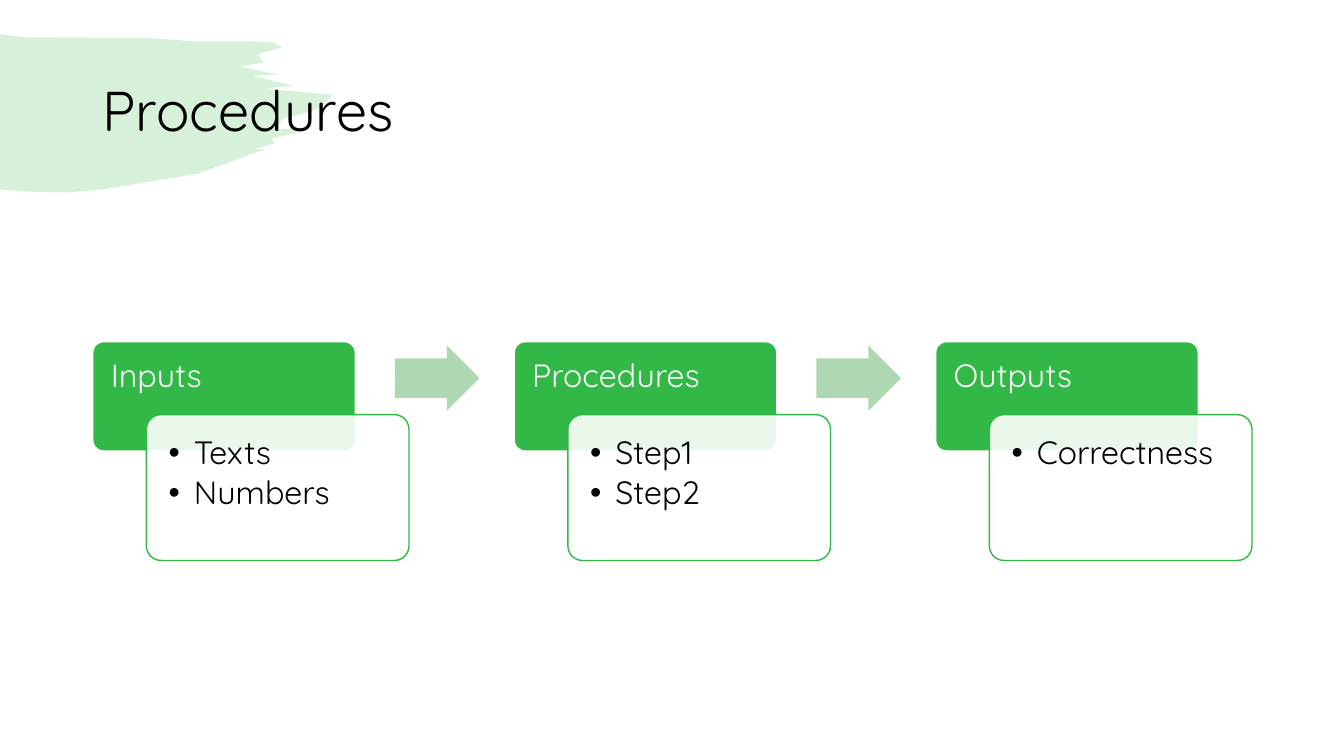
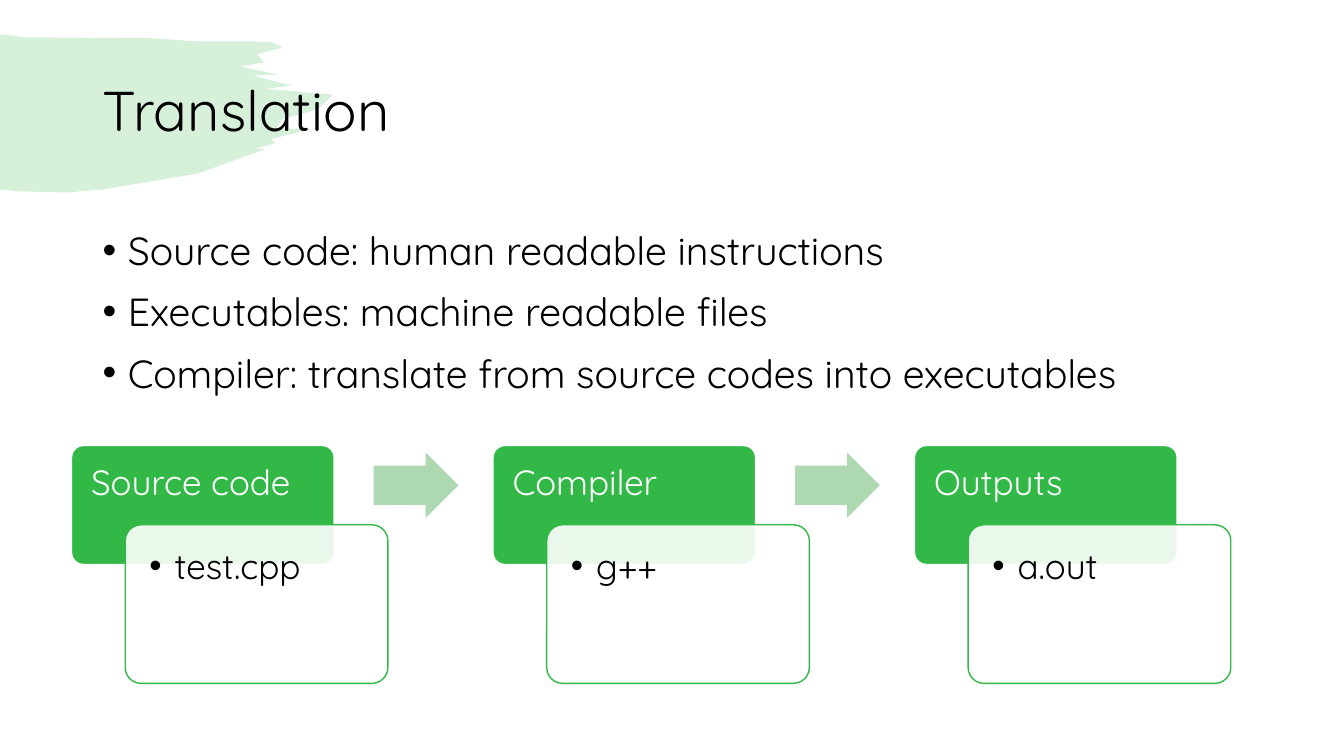
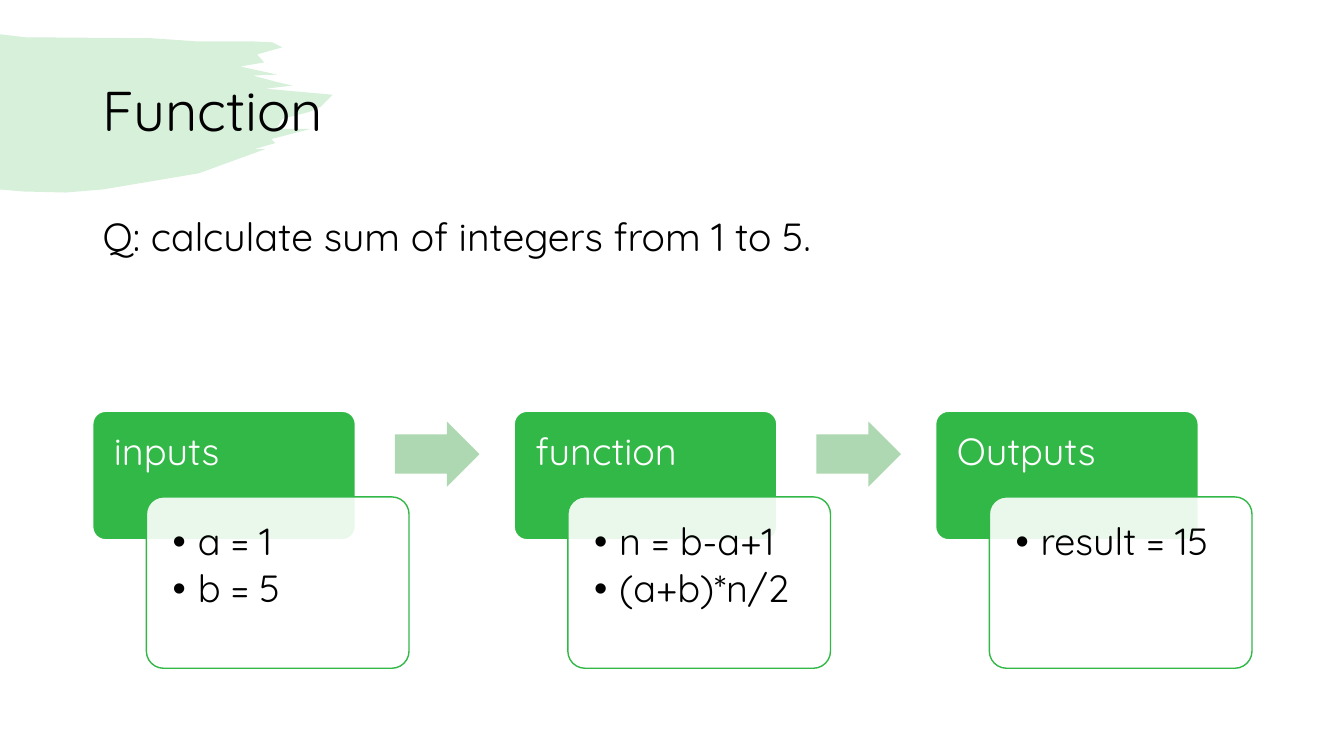
from lxml.etree import SubElement
from pptx import Presentation
from pptx.dml.color import RGBColor
from pptx.enum.shapes import MSO_SHAPE
from pptx.enum.text import MSO_ANCHOR, PP_ALIGN
from pptx.oxml.ns import qn
from pptx.util import Inches, Pt

FONT = "Quicksand"
GREEN, PALE_GREEN, WHITE, BLACK = "32B847", "AED8B1", "FFFFFF", "000000"
MARGIN, CONTENT_WIDTH = 0.92, 11.5
CORNER = 0.1
CORNER_TEXT_INSET = 0.29 * CORNER

BRUSH_OUTLINE = [
    (0, 0.34), (0.25, 0.37), (1.51, 0.38), (1.94, 0.41), (2.48, 0.41), (2.7, 0.42),
    (2.8, 0.47), (2.55, 0.54), (2.62, 0.62), (2.38, 0.66), (2.75, 0.74), (2.51, 0.75),
    (2.73, 0.81), (2.9, 0.85), (2.63, 0.88), (3.3, 0.94), (3.18, 1.06), (3.07, 1.11),
    (2.8, 1.18), (2.74, 1.28), (3.08, 1.28), (2.69, 1.38), (2.73, 1.42), (2.52, 1.48),
    (2.63, 1.48), (1.97, 1.72), (1.02, 1.88), (0.65, 1.91), (0.23, 1.9), (0, 1.88),
]


def color(value):
    return RGBColor.from_string(value)


def style_shape(shape, fill, line=None, opacity=100):
    shape.shadow.inherit = False
    shape.fill.solid()
    shape.fill.fore_color.rgb = color(fill)
    if opacity < 100:
        fill_color = shape._element.spPr.find(qn("a:solidFill"))[0]
        SubElement(fill_color, qn("a:alpha"), val=str(opacity * 1000))
    if line:
        shape.line.color.rgb = color(line)
        shape.line.width = Pt(1)
    else:
        shape.line.fill.background()


def add_bullet(paragraph):
    properties = paragraph._p.get_or_add_pPr()
    properties.set("marL", str(Inches(0.25)))
    properties.set("indent", str(-Inches(0.25)))
    SubElement(properties, qn("a:buFont"), typeface="Arial")
    SubElement(properties, qn("a:buChar"), char="•")


def write_lines(shape, lines, size, text_color=BLACK, bullets=False, insets=(0.1, 0.05),
                anchor=MSO_ANCHOR.TOP, line_spacing=1.0, before=0, after=0):
    frame = shape.text_frame
    frame.word_wrap = True
    frame.vertical_anchor = anchor
    frame.margin_left = frame.margin_right = Inches(insets[0])
    frame.margin_top = frame.margin_bottom = Inches(insets[1])
    for index, line in enumerate(lines):
        paragraph = frame.add_paragraph() if index else frame.paragraphs[0]
        paragraph.alignment = PP_ALIGN.LEFT
        paragraph.line_spacing = line_spacing
        paragraph.space_before = Pt(before)
        paragraph.space_after = Pt(after)
        if bullets:
            add_bullet(paragraph)
        run = paragraph.add_run()
        run.text = line
        run.font.name = FONT
        run.font.size = Pt(size)
        run.font.color.rgb = color(text_color)


def add_text(slide, box, lines, size, **options):
    write_lines(slide.shapes.add_textbox(*map(Inches, box)), lines, size, **options)


def add_brush(slide):
    start, *points = [tuple(map(Inches, point)) for point in BRUSH_OUTLINE]
    builder = slide.shapes.build_freeform(*start)
    builder.add_line_segments(points, close=True)
    style_shape(builder.convert_to_shape(), GREEN, opacity=20)


def add_titled_slide(presentation, title):
    slide = presentation.slides.add_slide(presentation.slide_layouts[6])
    add_brush(slide)
    add_text(slide, (MARGIN, 0.4, CONTENT_WIDTH, 1.45), [title], 40,
             anchor=MSO_ANCHOR.MIDDLE, line_spacing=0.9)
    return slide


def add_card(slide, box, lines, size, fill, line, text_color, bullets=False, opacity=100,
             inset_trim=0):
    card = slide.shapes.add_shape(MSO_SHAPE.ROUNDED_RECTANGLE, *map(Inches, box))
    card.adjustments[0] = CORNER
    style_shape(card, fill, line, opacity)
    inset = 0.56 * size / 72 - inset_trim
    write_lines(card, lines, size, text_color, bullets, (inset, inset),
                line_spacing=0.9, after=0.16 * size)


def add_arrow(slide, box):
    arrow = slide.shapes.add_shape(MSO_SHAPE.RIGHT_ARROW, *map(Inches, box))
    arrow.adjustments[0] = 0.6
    arrow.adjustments[1] = 0.5
    style_shape(arrow, PALE_GREEN)


def add_flow(slide, box, size, steps):
    left, top, width, height = box
    column, row = width / 100, height / 6
    card_width, arrow_height = 22.65 * column, 5.65 * column
    for index, (heading, details) in enumerate(steps):
        step_left = left + index * 36.35 * column
        add_card(slide, (step_left, top, card_width, 3 * row), [heading], size,
                 GREEN, WHITE, WHITE, inset_trim=CORNER_TEXT_INSET * 3 * row)
        add_card(slide, (step_left + 4.63 * column, top + 2 * row, card_width, 4 * row),
                 details, size, WHITE, GREEN, BLACK, bullets=True, opacity=90)
        if index < len(steps) - 1:
            add_arrow(slide, (step_left + 26.06 * column, top + row - arrow_height / 2,
                              7.3 * column, arrow_height))


def build_procedures(presentation):
    slide = add_titled_slide(presentation, "Procedures")
    add_flow(slide, (MARGIN, 3.39, CONTENT_WIDTH, 2.17), 23, [
        ("Inputs", ["Texts", "Numbers"]),
        ("Procedures", ["Step1", "Step2"]),
        ("Outputs", ["Correctness"]),
    ])


def build_translation(presentation):
    slide = add_titled_slide(presentation, "Translation")
    add_text(slide, (MARGIN, 2.2, CONTENT_WIDTH, 2), [
        "Source code: human readable instructions",
        "Executables: machine readable files",
        "Compiler: translate from source codes into executables",
    ], 28, bullets=True, before=10)
    add_flow(slide, (0.71, 4.42, CONTENT_WIDTH, 2.36), 25, [
        ("Source code", ["test.cpp"]),
        ("Compiler", ["g++"]),
        ("Outputs", ["a.out"]),
    ])


def build_function(presentation):
    slide = add_titled_slide(presentation, "Function")
    add_flow(slide, (MARGIN, 4.08, CONTENT_WIDTH, 2.55), 27, [
        ("inputs", ["a = 1", "b = 5"]),
        ("function", ["n = b-a+1", "(a+b)*n/2"]),
        ("Outputs", ["result = 15"]),
    ])
    add_text(slide, (MARGIN, 2.06, 7.94, 0.57), ["Q: calculate sum of integers from 1 to 5."], 28)


def main():
    presentation = Presentation()
    presentation.slide_width = Inches(13.33)
    presentation.slide_height = Inches(7.5)
    build_procedures(presentation)
    build_translation(presentation)
    build_function(presentation)
    presentation.save("out.pptx")


if __name__ == "__main__":
    main()
